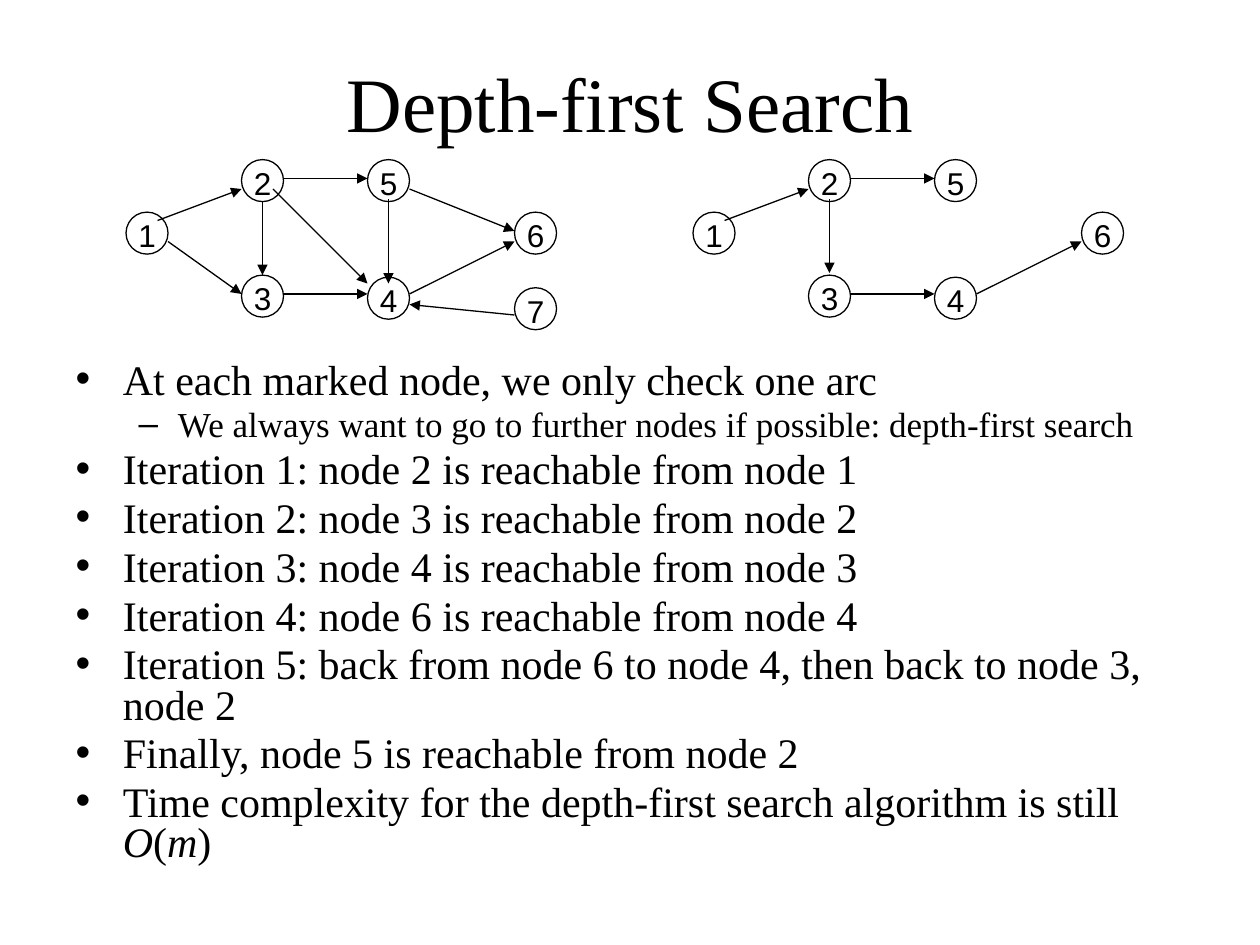
from dataclasses import dataclass

from lxml import etree
from pptx import Presentation
from pptx.dml.color import RGBColor
from pptx.enum.shapes import MSO_CONNECTOR, MSO_SHAPE
from pptx.enum.text import MSO_ANCHOR, MSO_AUTO_SIZE, PP_ALIGN
from pptx.oxml.ns import qn
from pptx.util import Pt

PX = 7620  # 120 px to the inch
OVAL = MSO_SHAPE.OVAL
LINE = MSO_CONNECTOR.STRAIGHT
MID, TOP = MSO_ANCHOR.MIDDLE, MSO_ANCHOR.TOP
NO_FIT = MSO_AUTO_SIZE.NONE
LEFT, CENTER = PP_ALIGN.LEFT, PP_ALIGN.CENTER

COLORS = {"ink": "000000"}
SERIF, SANS = "Times New Roman", "Arial"
SIZE = 40    # node diameter
SHIFT = 540  # from the full graph to the search tree


@dataclass(frozen=True)
class Node:
    name: str
    x: int
    y: int


@dataclass(frozen=True)
class Arc:
    x1: int
    y1: int
    x2: int
    y2: int


NODES = [
    Node("1", 120, 202), Node("2", 230, 152), Node("3", 230, 262),
    Node("4", 350, 264), Node("5", 350, 152), Node("6", 490, 202),
]
SHARED = [  # arcs found in both graphs: 1-2, 2-5, 3-4, 4-6
    Arc(150, 210, 230, 180), Arc(270, 170, 350, 170),
    Arc(270, 280, 350, 280), Arc(390, 280, 490, 230),
]
FULL = SHARED + [  # 1-3, 2-3, 5-4, 2-4, 5-6, 7-4
    Arc(160, 230, 230, 280), Arc(250, 192, 250, 262),
    Arc(370, 190, 370, 270), Arc(260, 180, 350, 270),
    Arc(390, 180, 490, 220), Arc(490, 300, 390, 290),
]
TREE = SHARED + [Arc(250, 190, 250, 260)]

# (level, runs); each run is (text, italic)
ITEMS = [
    (0, [("At each marked node, we only check one arc", False)]),
    (1, [("We always want to go to further nodes if possible: "
          "depth-first search", False)]),
    *[(0, [(f"Iteration {i}: node {b} is reachable from node {a}", False)])
      for i, (a, b) in enumerate([(1, 2), (2, 3), (3, 4), (4, 6)], 1)],
    (0, [("Iteration 5: back from node 6 to node 4, then back to node 3, "
          "node 2", False)]),
    (0, [("Finally, node 5 is reachable from node 2", False)]),
    (0, [("Time complexity for the depth-first search algorithm is still ",
          False), ("O", True), ("(", False), ("m", True), (")", False)]),
]
POINTS = {0: 24, 1: 20}


def ink() -> RGBColor:
    return RGBColor.from_string(COLORS["ink"])


def assign(obj, values: dict) -> None:
    for key, value in values.items():
        setattr(obj, key, value)


def place(shape, x: int, y: int, w: int, h: int) -> None:
    assign(shape, {"left": x * PX, "top": y * PX,
                   "width": w * PX, "height": h * PX})


def add_run(para, text: str, face: str, size: int, italic=False) -> None:
    run = para.add_run()
    run.text = text
    assign(run.font, {"name": face, "size": Pt(size), "italic": italic})
    run.font.color.rgb = ink()


def stroke(line) -> None:
    line.color.rgb = ink()
    line.width = Pt(0.75)


def draw_node(slide, node: Node, dx: int) -> None:
    x = node.x + dx
    ring = slide.shapes.add_shape(
        OVAL, x * PX, node.y * PX, SIZE * PX, SIZE * PX)
    ring.shadow.inherit = False
    ring.fill.background()
    stroke(ring.line)
    label = slide.shapes.add_textbox(
        x * PX, (node.y - 2) * PX, SIZE * PX, 48 * PX)
    label.text_frame.word_wrap = True
    add_run(label.text_frame.paragraphs[0], node.name, SANS, 18)


def draw_arc(slide, arc: Arc, dx: int) -> None:
    link = slide.shapes.add_connector(
        LINE, (arc.x1 + dx) * PX, arc.y1 * PX,
        (arc.x2 + dx) * PX, arc.y2 * PX)
    stroke(link.line)
    props = link._element.spPr
    etree.SubElement(props.find(qn("a:ln")), qn("a:tailEnd"), type="triangle")
    etree.SubElement(props, qn("a:effectLst"))


def draw_graph(slide, nodes: list[Node], arcs: list[Arc], dx: int) -> None:
    for node in nodes:
        draw_node(slide, node, dx)
    for arc in arcs:
        draw_arc(slide, arc, dx)


def fill_title(shape) -> None:
    place(shape, 60, 40, 1080, 114)
    frame = shape.text_frame
    assign(frame, {"auto_size": NO_FIT, "vertical_anchor": MID})
    para = frame.paragraphs[0]
    para.alignment = CENTER
    add_run(para, "Depth-first Search", SERIF, 44)


def fill_body(shape) -> None:
    """Write the list; bullets and indents come from the template."""
    place(shape, 60, 340, 1080, 510)
    frame = shape.text_frame
    assign(frame, {"auto_size": NO_FIT, "vertical_anchor": TOP})
    for i, (level, runs) in enumerate(ITEMS):
        para = frame.add_paragraph() if i else frame.paragraphs[0]
        assign(para, {"level": level, "line_spacing": 0.8, "alignment": LEFT})
        for text, italic in runs:
            add_run(para, text, SERIF, POINTS[level], italic)


def main() -> None:
    deck = Presentation()
    assign(deck, {"slide_width": 1200 * PX, "slide_height": 900 * PX})
    slide = deck.slides.add_slide(deck.slide_layouts[1])
    fill_title(slide.shapes.title)
    fill_body(slide.placeholders[1])
    draw_graph(slide, NODES + [Node("7", 490, 274)], FULL, 0)
    draw_graph(slide, NODES, TREE, SHIFT)
    deck.save("out.pptx")


if __name__ == "__main__":
    main()
